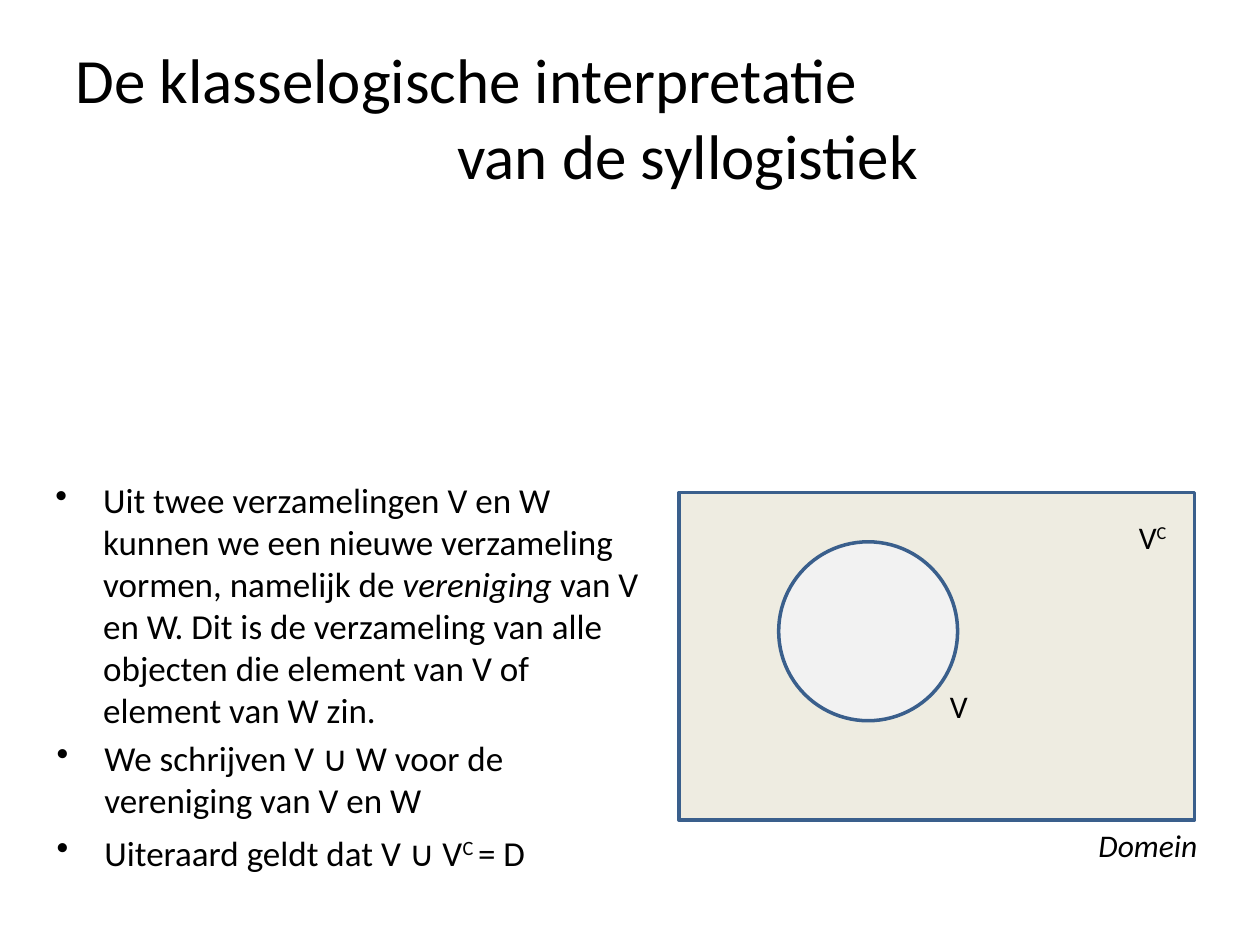
"""Build the slide on the class-logic interpretation of the syllogism."""
from dataclasses import dataclass

from lxml.etree import SubElement
from pptx import Presentation
from pptx.dml.color import RGBColor
from pptx.enum.shapes import MSO_SHAPE
from pptx.enum.text import MSO_ANCHOR, MSO_AUTO_SIZE
from pptx.oxml.ns import qn
from pptx.slide import Slide
from pptx.util import Inches, Pt

COLORS = {"text": "000000", "outline": "3A5F8C", "domain": "EEECE1", "set": "F2F2F2"}
FONT = "Calibri"
BULLET_INDENT = 0.38


@dataclass(frozen=True)
class Run:
    text: str
    italic: bool = False
    superscript: bool = False


@dataclass(frozen=True)
class Line:
    runs: tuple[Run, ...]
    indent: float = 0


@dataclass(frozen=True)
class TextItem:
    lines: tuple[Line, ...]
    box: tuple[float, float, float, float]


@dataclass(frozen=True)
class Region:
    kind: MSO_SHAPE
    box: tuple[float, float, float, float]
    fill: str


TITLE = TextItem(
    (
        Line((Run("De klasselogische interpretatie"),)),
        Line((Run("van de syllogistiek"),), indent=3.03),
    ),
    (0.5, 0.3, 9.15, 1.25),
)

STATEMENTS = (
    TextItem(
        (Line((
            Run("Uit twee verzamelingen V en W kunnen we een nieuwe verzameling vormen, namelijk de"),
            Run(" vereniging ", italic=True),
            Run("van V en W. Dit is de verzameling van alle objecten die element van V of element van W zin."),
        ), BULLET_INDENT),),
        (0.34, 3.75, 4.89, 0.5),
    ),
    TextItem(
        (Line((Run("We schrijven V ∪ W voor de vereniging van V en W"),), BULLET_INDENT),),
        (0.35, 5.8, 4.89, 0.5),
    ),
    TextItem(
        (Line((
            Run("Uiteraard geldt dat V ∪ V"),
            Run("C ", superscript=True),
            Run("= D"),
        ), BULLET_INDENT),),
        (0.35, 6.55, 4.89, 0.5),
    ),
)

REGIONS = (
    Region(MSO_SHAPE.RECTANGLE, (5.39, 3.91, 4.09, 2.6), "domain"),
    Region(MSO_SHAPE.OVAL, (6.18, 4.3, 1.42, 1.42), "set"),
)

LABELS = (
    TextItem((Line((Run("V"), Run("C", superscript=True))),), (8.94, 4.06, 0.63, 0.4)),
    TextItem((Line((Run("Domein", italic=True),)),), (8.62, 6.51, 1.34, 0.4)),
    TextItem((Line((Run("V"),)),), (7.44, 5.4, 0.63, 0.4)),
)


def color(name: str) -> RGBColor:
    """Return the named colour."""
    return RGBColor.from_string(COLORS[name])


def add_text(
    slide: Slide,
    item: TextItem,
    *,
    size: float,
    bullet: bool = False,
    anchor: MSO_ANCHOR = MSO_ANCHOR.TOP,
    auto_size: MSO_AUTO_SIZE = MSO_AUTO_SIZE.NONE,
) -> None:
    """Add a wrapped text box with formatted lines."""
    frame = slide.shapes.add_textbox(*map(Inches, item.box)).text_frame
    frame.word_wrap = True
    frame.vertical_anchor = anchor
    frame.auto_size = auto_size
    for index, line in enumerate(item.lines):
        paragraph = frame.add_paragraph() if index else frame.paragraphs[0]
        properties = paragraph._p.get_or_add_pPr()
        properties.set("marL", str(Inches(line.indent)))
        if bullet:
            properties.set("indent", str(-Inches(line.indent)))
            SubElement(properties, qn("a:buChar")).set("char", "•")
        for part in line.runs:
            run = paragraph.add_run()
            run.text = part.text
            run.font.name = FONT
            run.font.size = Pt(size)
            run.font.italic = part.italic
            run.font.color.rgb = color("text")
            if part.superscript:
                run._r.get_or_add_rPr().set("baseline", "30000")


def add_region(slide: Slide, region: Region) -> None:
    """Add one outlined region of the set diagram."""
    shape = slide.shapes.add_shape(region.kind, *map(Inches, region.box))
    shape.shadow.inherit = False
    shape.fill.solid()
    shape.fill.fore_color.rgb = color(region.fill)
    shape.line.color.rgb = color("outline")
    shape.line.width = Pt(2)


def main() -> None:
    """Build and save the presentation."""
    presentation = Presentation()
    presentation.slide_width = Inches(10)
    presentation.slide_height = Inches(7.5)
    slide = presentation.slides.add_slide(presentation.slide_layouts[6])
    add_text(slide, TITLE, size=36, anchor=MSO_ANCHOR.MIDDLE)
    for statement in STATEMENTS:
        add_text(slide, statement, size=20, bullet=True)
    for region in REGIONS:
        add_region(slide, region)
    for label in LABELS:
        add_text(slide, label, size=18, auto_size=MSO_AUTO_SIZE.SHAPE_TO_FIT_TEXT)
    presentation.save("out.pptx")


if __name__ == "__main__":
    main()
